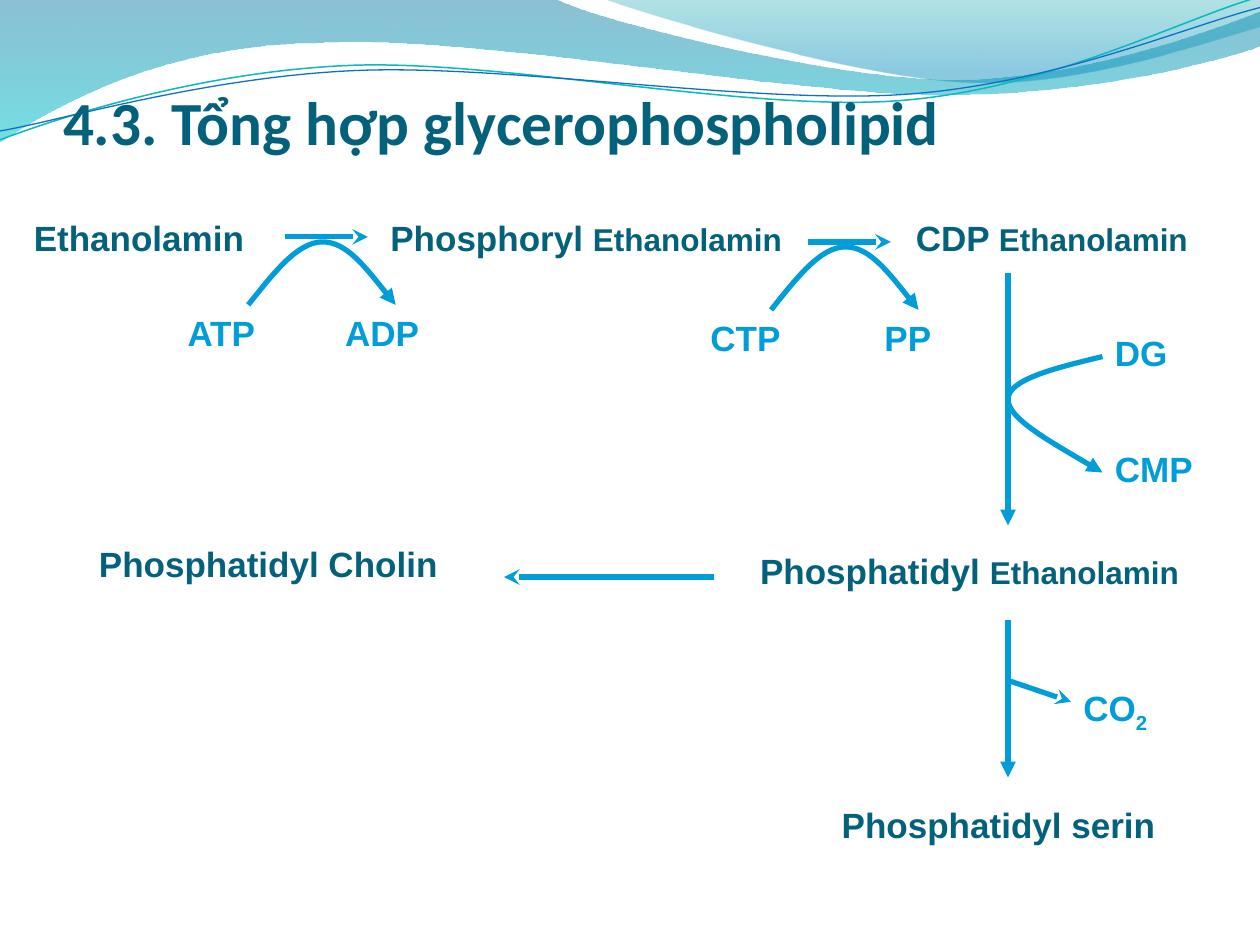
from dataclasses import dataclass

from lxml import etree
from pptx import Presentation
from pptx.dml.color import RGBColor
from pptx.enum.shapes import MSO_CONNECTOR, MSO_SHAPE
from pptx.enum.text import MSO_ANCHOR, MSO_AUTO_SIZE, PP_ALIGN
from pptx.oxml.ns import qn
from pptx.util import Inches, Pt

STRAIGHT = MSO_CONNECTOR.STRAIGHT
RECT = MSO_SHAPE.RECTANGLE
LEFT, CENTER = PP_ALIGN.LEFT, PP_ALIGN.CENTER
TOP, BOTTOM = MSO_ANCHOR.TOP, MSO_ANCHOR.BOTTOM
FIXED, GROW = MSO_AUTO_SIZE.NONE, MSO_AUTO_SIZE.SHAPE_TO_FIT_TEXT
LABEL_W, LABEL_H = 0.83, 0.43


@dataclass(frozen=True)
class Theme:
    """Colours, fonts and sizes of the slide."""
    dark: str = "04617B"
    accent: str = "009DD9"
    white: str = "FFFFFF"
    teal_line: str = "0AB8BF"
    blue_line: str = "0F6FC6"
    long_wave: tuple = ((0, "0074A1", 45), (1, "00C6CF", 55))
    short_wave: tuple = ((0, "00A1A9", 30), (0.8, "008BBF", 45))
    title_font: str = "Calibri"
    body_font: str = "Arial"
    title_size: float = 35
    body_size: float = 20
    small_size: float = 18
    arrow_width: float = 3


THEME = Theme()


def rgb(value):
    """Turn a hex string into a colour."""
    return RGBColor.from_string(value)


def add_run(p, text, size, color, font=THEME.body_font):
    """Append one bold run to a paragraph."""
    r = p.add_run()
    r.text = text
    r.font.name, r.font.size, r.font.bold = font, Pt(size), True
    r.font.color.rgb = rgb(color)
    return r


def style_line(shape, color, width, head=None):
    """Set the stroke of a shape and its optional arrowhead."""
    shape.line.color.rgb = rgb(color)
    shape.line.width = Pt(width)
    if head:
        ln = shape.line._get_or_add_ln()
        etree.SubElement(ln, qn("a:tailEnd"), type=head)


def add_outline(slide, origin, start, segments, close=False):
    """Draw lines (one point) and cubic curves (three points) from a start."""
    x, y = origin
    points = [start] + [point for seg in segments for point in seg]
    emu = [(Inches(x + px), Inches(y + py)) for px, py in points]
    builder = slide.shapes.build_freeform(*emu[0])
    builder.add_line_segments(emu[1:], close=close)
    sp = builder.convert_to_shape()
    sp.shadow.inherit = False
    sp.fill.background()
    steps = list(sp._element.iter(qn("a:lnTo")))
    for seg in segments:
        group, steps = steps[:len(seg)], steps[len(seg):]
        if len(group) == 3:
            curve = etree.Element(qn("a:cubicBezTo"))
            group[0].addprevious(curve)
            for step in group:
                curve.append(step[0])
                step.getparent().remove(step)
    return sp


def fill_gradient(sp, stops):
    """Fill a shape from top to bottom with translucent colours."""
    sp.line.fill.background()
    sp.fill.gradient()
    sp.fill.gradient_angle = 270
    marks = sp._element.iter(qn("a:gs"))
    for stop, gs, (pos, color, alpha) in zip(sp.fill.gradient_stops, marks, stops):
        stop.position = pos
        stop.color.rgb = rgb(color)
        etree.SubElement(gs[0], qn("a:alpha"), val=str(alpha * 1000))


def add_arrow(slide, start, end, head):
    """Draw a straight reaction arrow."""
    c = slide.shapes.add_connector(STRAIGHT, *map(Inches, start + end))
    style_line(c, THEME.accent, THEME.arrow_width, head)
    etree.SubElement(c._element.spPr, qn("a:effectLst"))


def add_curved_arrow(slide, origin, start, segments):
    """Draw a curved reaction arrow."""
    sp = add_outline(slide, origin, start, segments)
    style_line(sp, THEME.accent, THEME.arrow_width, "triangle")


def set_frame(sp, align):
    """Prepare a text frame and return its first paragraph."""
    tf = sp.text_frame
    tf.word_wrap, tf.auto_size, tf.vertical_anchor = True, GROW, TOP
    p = tf.paragraphs[0]
    p.alignment = align
    return p


def add_label(slide, x, y, text, align=LEFT):
    """Name a cofactor and return its paragraph."""
    sp = slide.shapes.add_textbox(*map(Inches, (x, y, LABEL_W, LABEL_H)))
    p = set_frame(sp, align)
    add_run(p, text, THEME.body_size, THEME.accent)
    return p


def add_metabolite(slide, box, name, suffix="", align=LEFT):
    """Name a compound on a white box, with an optional smaller suffix."""
    sp = slide.shapes.add_shape(RECT, *map(Inches, box))
    sp.shadow.inherit = False
    sp.fill.solid()
    sp.fill.fore_color.rgb = rgb(THEME.white)
    sp.line.fill.background()
    p = set_frame(sp, align)
    add_run(p, name, THEME.body_size, THEME.dark)
    if suffix:
        add_run(p, suffix, THEME.small_size, THEME.dark)
    return sp


def add_waves(slide, box):
    """Draw the wave decoration along the top of its box."""
    x, y, w, h = box
    origin = (x, y)
    long_wave = add_outline(slide, origin, (0, -0.01), [
        [(4.4, -0.01)], [(4.76, 0.17), (6.64, 0.63), (7.58, 0.63)],
        [(8.53, 0.63), (9.58, 0.26), (w, 0.09)], [(w + 0.01, 0.36)],
        [(9.83, 0.44), (8.7, 0.76), (7.46, 0.75)],
        [(6.22, 0.75), (3.82, 0.28), (2.57, 0.34)],
        [(1.29, 0.35), (0.46, 0.83), (-0.01, h)]], close=True)
    fill_gradient(long_wave, THEME.long_wave)
    short_wave = add_outline(slide, origin, (4.79, -0.01), [
        [(5.09, 0.11), (6.82, 0.62), (7.69, 0.65)],
        [(8.56, 0.69), (9.61, 0.32), (w, 0.21)], [(w, 0)]], close=True)
    fill_gradient(short_wave, THEME.short_wave)
    teal = add_outline(slide, origin, (0, 1.11), [
        [(0.48, 0.93), (1.58, 0.57), (2.77, 0.52)],
        [(3.95, 0.47), (5.93, 0.89), (7.13, 0.8)],
        [(8.33, 0.71), (9.38, 0.15), (w - 0.02, -0.02)]])
    style_line(teal, THEME.teal_line, 0.85)
    blue = add_outline(slide, origin, (0, 1.04), [
        [(0.47, 0.96), (1.64, 0.61), (2.83, 0.56)],
        [(4.03, 0.51), (5.97, 0.83), (7.17, 0.75)],
        [(8.36, 0.67), (9.41, 0.21), (w, 0.06)]])
    style_line(blue, THEME.blue_line, 0.75)


def add_title(slide, box, text):
    """Place the title placeholder in front of the waves."""
    sp = slide.shapes.title
    sp.left, sp.top, sp.width, sp.height = map(Inches, box)
    tf = sp.text_frame
    tf.auto_size, tf.vertical_anchor = FIXED, BOTTOM
    tf.margin_left = tf.margin_right = tf.margin_bottom = 0
    p = tf.paragraphs[0]
    p.alignment = LEFT
    add_run(p, text, THEME.title_size, THEME.dark, THEME.title_font)
    sp.element.getparent().append(sp.element)


def add_activation(slide, box, used, released, align=LEFT):
    """Draw a horizontal step with a cofactor exchanged beneath it."""
    x, y, w, h = box
    add_arrow(slide, (x + 0.87, y), (x + 1.53, y), "stealth")
    add_curved_arrow(slide, (x + 0.58, y + 0.04), (0, 0.5), [
        [(0.2, 0.25), (0.39, 0), (0.59, 0)],
        [(0.78, 0), (0.97, 0.25), (1.17, 0.5)]])
    add_label(slide, x, y + h - LABEL_H, used)
    add_label(slide, x + w - LABEL_W, y + h - LABEL_H, released, align)


def add_transfer(slide, box):
    """Draw the downward step that takes up DG and releases CMP."""
    x, y, w, h = box
    add_arrow(slide, (x, y), (x, y + h), "triangle")
    add_curved_arrow(slide, (x, y + 0.66), (0.75, 0), [
        [(0.38, 0.09), (0, 0.18), (0, 0.34)],
        [(0, 0.49), (0.38, 0.7), (0.75, 0.92)]])
    for text, dy in (("DG", 0.41), ("CMP", 1.33)):
        add_label(slide, x + w - LABEL_W, y + dy, text)


def add_decarboxylation(slide, box):
    """Draw the downward step that releases carbon dioxide."""
    x, y, w, h = box
    add_arrow(slide, (x, y), (x, y + h), "triangle")
    add_arrow(slide, (x, y + 0.48), (x + 0.5, y + 0.65), "stealth")
    p = add_label(slide, x + w - LABEL_W, y + 0.48, "CO")
    r = add_run(p, "2", THEME.body_size, THEME.accent)
    r._r.get_or_add_rPr().set("baseline", "-25000")


def main():
    """Build the slide and save it."""
    prs = Presentation()
    prs.slide_width, prs.slide_height = Inches(10), Inches(7.5)
    s = prs.slides.add_slide(prs.slide_layouts[5])
    add_waves(s, (0, 0, 10, 1.13))
    add_title(s, (0.5, 0, 9, 1.25), "4.3. Tổng hợp glycerophospholipid")
    cdp = add_metabolite(s, (7.17, 1.67, 2.67, 0.44), "CDP ", "Ethanolamin")
    style_line(cdp, THEME.white, 0.75)
    for box, *label in (
            ((0.17, 1.67, 2, 0.43), "Ethanolamin"),
            ((3, 1.67, 3.33, 0.43), "Phosphoryl ", "Ethanolamin"),
            ((5.75, 4.31, 3.96, 0.43), "Phosphatidyl ", "Ethanolamin ", CENTER),
            ((0.42, 4.26, 3.42, 0.43), "Phosphatidyl Cholin", "", CENTER),
            ((6.42, 6.33, 3.08, 0.43), "Phosphatidyl serin", " ", CENTER)):
        add_metabolite(s, box, *label)
    add_activation(s, (1.39, 1.88, 2.08, 0.97), "ATP", "ADP")
    add_activation(s, (5.54, 1.92, 2.08, 0.97), "CTP", "PP", CENTER)
    add_transfer(s, (8, 2.17, 1.58, 2))
    add_arrow(s, (5.67, 4.58), (4, 4.58), "stealth")
    add_decarboxylation(s, (8, 4.92, 1.33, 1.25))
    prs.save("out.pptx")


if __name__ == "__main__":
    main()
